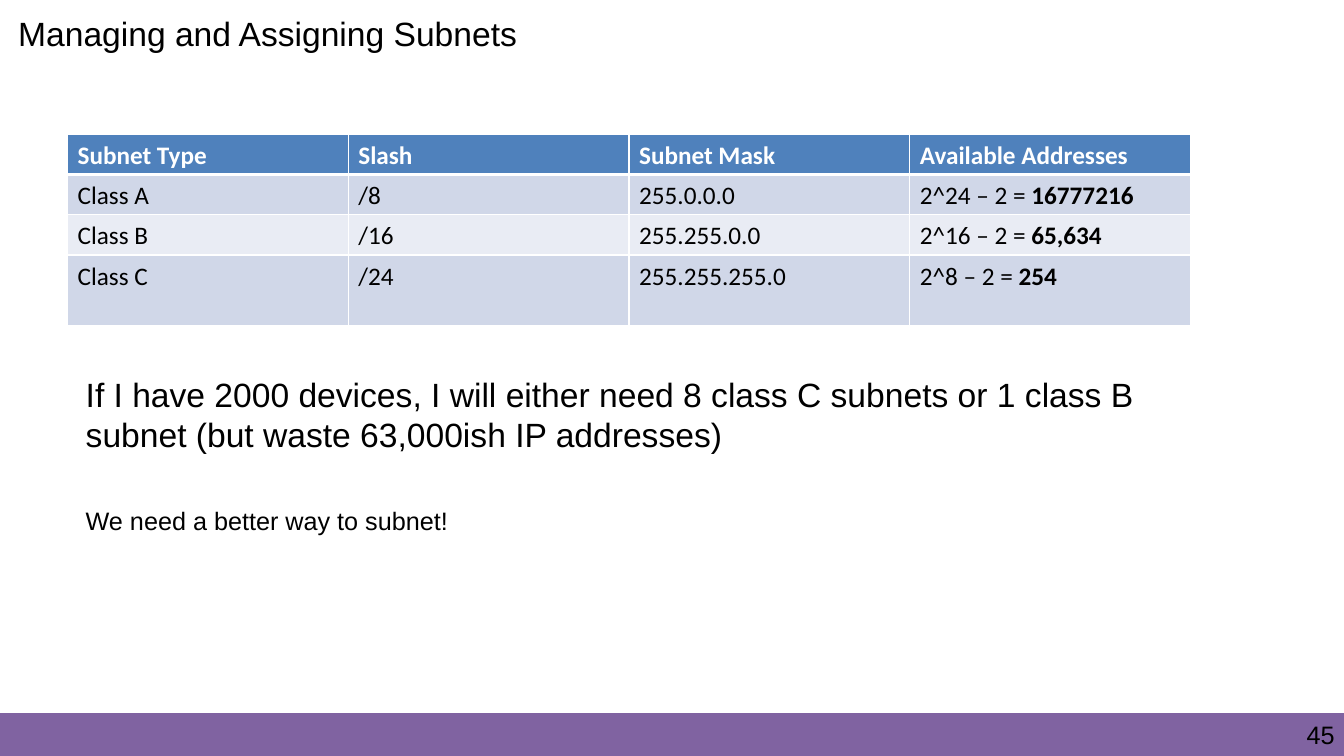
from dataclasses import dataclass

from lxml.etree import SubElement
from pptx import Presentation
from pptx.dml.color import RGBColor as Color
from pptx.enum.shapes import MSO_SHAPE as Shape
from pptx.enum.text import MSO_ANCHOR as Anchor, PP_ALIGN as Align
from pptx.oxml.ns import qn
from pptx.util import Inches, Pt


@dataclass(frozen=True)
class Theme:
    text: str = "000000"
    white: str = "FFFFFF"
    footer: str = "8063A1"
    header: str = "4F81BC"
    bands: tuple = ("D0D7E8", "E9ECF4")
    font: str = "Arial"
    table_font: str = "Calibri"
    large: int = 24
    normal: int = 18


theme = Theme()


def style_text(frame, sizes, font=theme.font, color=theme.text, left=0, top=0):
    frame.margin_left, frame.margin_top = Inches(left), Inches(top)
    frame.margin_right = frame.margin_bottom = 0
    frame.vertical_anchor = Anchor.TOP
    frame.word_wrap = True
    for para, size in zip(frame.paragraphs, sizes):
        para.alignment = Align.LEFT
        for span in para.runs:
            span.font.name = font
            span.font.size = Pt(size)
            span.font.color.rgb = Color.from_string(color)


def add_border(cell, side, width):
    line = SubElement(cell._tc.get_or_add_tcPr(), qn(f"a:{side}"), w=str(Pt(width)))
    fill = SubElement(line, qn("a:solidFill"))
    SubElement(fill, qn("a:srgbClr"), val=theme.white)


deck = Presentation()
deck.slide_width, deck.slide_height = Inches(13.33), Inches(7.5)
page = deck.slides.add_slide(deck.slide_layouts[5])

# Footer band
band = page.shapes.add_shape(Shape.RECTANGLE, 0, Inches(7.08), Inches(13.33), Inches(0.42))
band.shadow.inherit = False
band.fill.solid()
band.fill.fore_color.rgb = Color.from_string(theme.footer)
band.line.color.rgb = Color.from_string(theme.footer)
band.line.width = Pt(1)

# Title
title = page.shapes.title
title.left, title.top = Inches(0.11), Inches(0.11)
title.width, title.height = Inches(6.15), Inches(0.49)
title.text_frame.text = "Managing and Assigning Subnets"
style_text(title.text_frame, [theme.large], left=0.07, top=0.02)

# Page number
number = page.shapes.add_textbox(Inches(12.92), Inches(7.15), Inches(0.38), Inches(0.31))
number.text_frame.text = "45"
style_text(number.text_frame, [theme.normal], left=0.04)
number.text_frame.paragraphs[0].line_spacing = Pt(20.9)

# Subnet table
subnets = [
    ("Subnet Type", "Slash", "Subnet Mask", "Available Addresses"),
    ("Class A", "/8", "255.0.0.0", "2^24 – 2 = 16777216"),
    ("Class B", "/16", "255.255.0.0", "2^16 – 2 = 65,634"),
    ("Class C", "/24", "255.255.255.0", "2^8 – 2 = 254"),
]
row_heights = (0.4, 0.4, 0.4, 0.7)
table = page.shapes.add_table(
    len(subnets), len(subnets[0]), Inches(0.67), Inches(1.33), Inches(11.14), Inches(1.9)
).table

for row, (values, height) in enumerate(zip(subnets, row_heights)):
    table.rows[row].height = Inches(height)
    is_header = row == 0
    for column, value in enumerate(values):
        cell = table.cell(row, column)
        para = cell.text_frame.paragraphs[0]
        formula, equals, result = value.partition(" = ")
        para.add_run().text = formula + equals
        if result:
            para.add_run().text = result
        style_text(cell.text_frame, [theme.normal], theme.table_font,
                   theme.white if is_header else theme.text)
        for index, span in enumerate(para.runs):
            span.font.bold = is_header or index == 1
        cell.margin_left, cell.margin_top = Inches(0.1), Inches(0.06)
        cell.margin_right = cell.margin_bottom = 0
        for side in ("lnL", "lnR", "lnT", "lnB"):
            thick = (row, side) in ((0, "lnB"), (1, "lnT"))
            add_border(cell, side, 3 if thick else 1)
        cell.fill.solid()
        cell.fill.fore_color.rgb = Color.from_string(
            theme.header if is_header else theme.bands[(row - 1) % 2])

# Conclusion
conclusion = page.shapes.add_textbox(Inches(0.84), Inches(3.69), Inches(10.45), Inches(1.63))
conclusion.text_frame.text = (
    "If I have 2000 devices, I will either need 8 class C subnets or 1 class B "
    "subnet (but waste 63,000ish IP addresses)\n"
    "We need a better way to subnet!"
)
style_text(conclusion.text_frame, [theme.large, theme.normal], left=0.01, top=0.02)
conclusion.text_frame.paragraphs[1].space_before = Pt(36)

deck.save("out.pptx")
